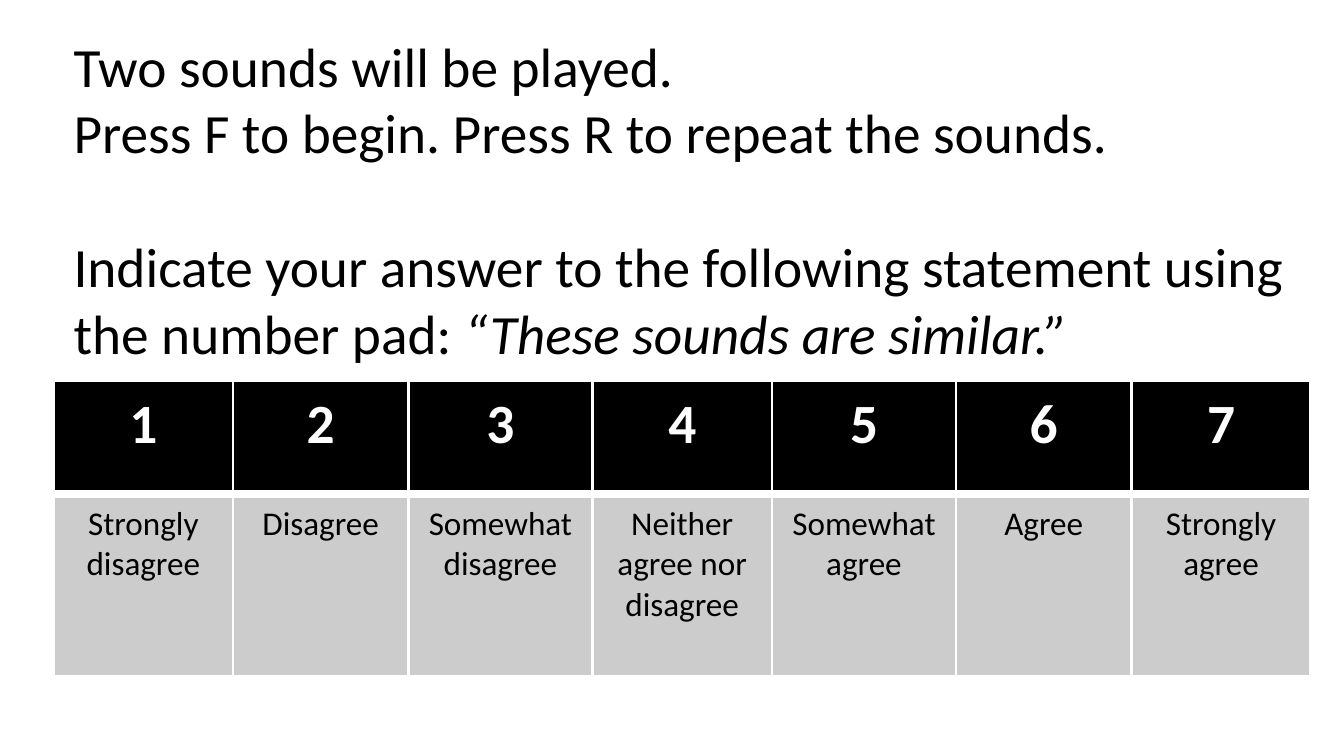
from lxml import etree
from pptx import Presentation
from pptx.dml.color import RGBColor
from pptx.enum.text import PP_ALIGN
from pptx.oxml.ns import qn
from pptx.util import Pt

CENTER = PP_ALIGN.CENTER
COLORS = {"ink": "000000", "paper": "FFFFFF", "answer": "CCCCCC"}
LEFT = 19.5
LINE_HEIGHT = 24.4


class SurveySlide:
    font = "Calibri"

    def __init__(self, slide):
        self.slide = slide

    def add_run(self, paragraph, text, size, color="ink", bold=False, italic=False):
        run = paragraph.add_run()
        run.text = text
        run.font.name = self.font
        run.font.size = Pt(size)
        run.font.bold = bold
        run.font.italic = italic
        run.font.color.rgb = RGBColor.from_string(COLORS[color])

    def add_text(self, left, top, width, height, paragraphs, size):
        """Each paragraph is (space before, [(text, italic), ...])."""
        box = self.slide.shapes.add_textbox(Pt(left), Pt(top), Pt(width), Pt(height))
        frame = box.text_frame
        frame.word_wrap = True
        for index, (space, runs) in enumerate(paragraphs):
            paragraph = frame.add_paragraph() if index else frame.paragraphs[0]
            paragraph.space_before = Pt(space)
            for text, italic in runs:
                self.add_run(paragraph, text, size, italic=italic)

    def set_borders(self, cell, widths):
        properties = cell._tc.get_or_add_tcPr()
        for index, (side, width) in enumerate(widths.items()):
            line = etree.Element(qn(f"a:ln{side}"), w=str(Pt(width)))
            fill = etree.SubElement(line, qn("a:solidFill"))
            etree.SubElement(fill, qn("a:srgbClr"), val=COLORS["paper"])
            properties.insert(index, line)

    def add_table(self, left, top, column_widths, rows):
        """Each row is (height, texts, size, text colour, fill, bold, borders)."""
        height = sum(row[0] for row in rows)
        table = self.slide.shapes.add_table(
            len(rows), len(column_widths), Pt(left), Pt(top),
            Pt(sum(column_widths)), Pt(height)).table
        table.first_row = table.horz_banding = False
        for column, width in zip(table.columns, column_widths):
            column.width = Pt(width)
        for row, style in zip(table.rows, rows):
            row_height, texts, size, color, fill, bold, borders = style
            row.height = Pt(row_height)
            for cell, text in zip(row.cells, texts):
                cell.fill.solid()
                cell.fill.fore_color.rgb = RGBColor.from_string(COLORS[fill])
                self.set_borders(cell, borders)
                paragraph = cell.text_frame.paragraphs[0]
                paragraph.alignment = CENTER
                self.add_run(paragraph, text, size, color, bold)


def main():
    deck = Presentation()
    deck.slide_width, deck.slide_height = Pt(486), Pt(270)
    survey = SurveySlide(deck.slides.add_slide(deck.slide_layouts[6]))

    # Instructions
    instructions = [
        (0, [("Two sounds will be played.", False)]),
        (0, [("Press F to begin. Press R to repeat the sounds.", False)]),
        (LINE_HEIGHT, [
            ("Indicate your answer to the following statement using the number pad: ", False),
            ("“These sounds are similar.”", True)]),
    ]
    survey.add_text(LEFT, 8, 455, 128, instructions, 20)

    # Answer scale
    answers = ["Strongly disagree", "Disagree", "Somewhat disagree",
               "Neither agree nor disagree", "Somewhat agree", "Agree", "Strongly agree"]
    keys = [str(number) for number in range(1, len(answers) + 1)]
    thin = {"L": 1, "R": 1, "T": 1, "B": 1}
    divider = {**thin, "B": 3}
    survey.add_table(LEFT, 137.5, [64.75, 63.5, 66.5, 65, 66.5, 63.5, 64.75], [
        (41, keys, 20, "paper", "ink", True, divider),
        (66, answers, 12, "ink", "answer", False, {**thin, "T": 3}),
    ])

    deck.save("out.pptx")


if __name__ == "__main__":
    main()
